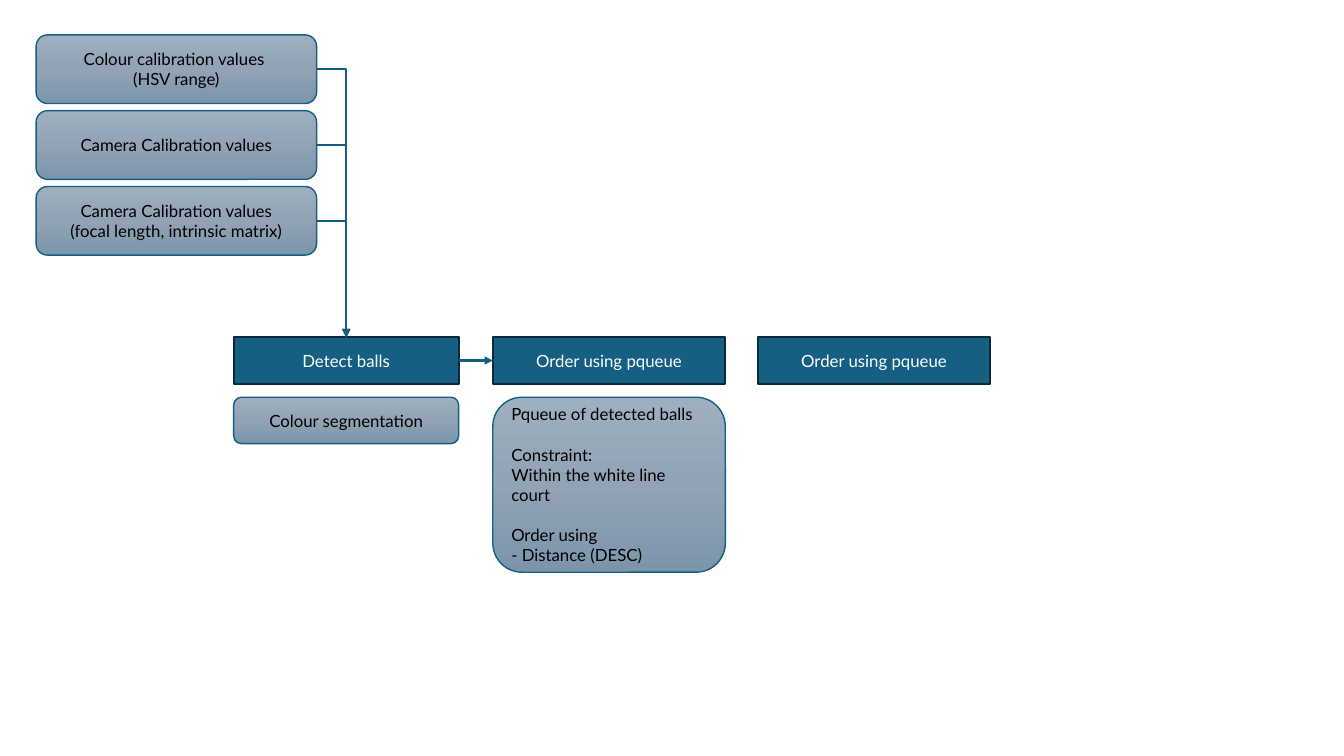
from copy import deepcopy
from pptx import Presentation
from pptx.dml.color import RGBColor
from pptx.enum.shapes import MSO_CONNECTOR, MSO_SHAPE
from pptx.enum.text import MSO_ANCHOR, PP_ALIGN
from pptx.oxml.ns import qn
from pptx.oxml.xmlchemy import OxmlElement
from pptx.util import Cm, Pt

RECT = MSO_SHAPE.RECTANGLE
ROUND = MSO_SHAPE.ROUNDED_RECTANGLE
ELBOW = MSO_CONNECTOR.ELBOW
STRAIGHT = MSO_CONNECTOR.STRAIGHT
MIDDLE = MSO_ANCHOR.MIDDLE
LEFT = PP_ALIGN.LEFT
CENTER = PP_ALIGN.CENTER
TOP_SIDE, LEFT_SIDE, RIGHT_SIDE = 0, 1, 3

FONT = "Lato"
COLORS = {
    "blue": "156082",
    "edge": "092A39",
    "light": "9EAFBF",
    "mid": "91A3B4",
    "dark": "7C95AB",
    "white": "FFFFFF",
    "black": "000000",
}
INPUTS = [
    ["Colour calibration values ", "(HSV range)"],
    ["Camera Calibration values"],
    ["Camera Calibration values", "(focal length, intrinsic matrix)"],
]
STEPS = [
    (5.89, 5.67, "Detect balls"),
    (12.42, 5.86, "Order using pqueue"),
    (19.1, 5.86, "Order using pqueue"),
]
RULES = [
    "Pqueue of detected balls",
    "Constraint:",
    "Within the white line court",
    "Order using",
    "- Distance (DESC)",
]
GROUPS = ("Constraint:", "Order using")


def color(name):
    return RGBColor.from_string(COLORS[name])


def add_box(slide, kind, box, lines, ink, align):
    shape = slide.shapes.add_shape(kind, *[Cm(n) for n in box])
    shape.shadow.inherit = False
    frame = shape.text_frame
    frame.word_wrap = True
    frame.vertical_anchor = MIDDLE
    frame.text = "\n".join(lines)
    for para in frame.paragraphs:
        para.alignment = align
        for run in para.runs:
            run.font.name = FONT
            run.font.size = Pt(12)
            run.font.color.rgb = color(ink)
    return shape


def add_step(slide, box, label):
    step = add_box(slide, RECT, box, [label], "white", CENTER)
    step.fill.solid()
    step.fill.fore_color.rgb = color("blue")
    step.line.color.rgb = color("edge")
    step.line.width = Pt(1.5)
    return step


def add_note(slide, box, lines, align=CENTER):
    note = add_box(slide, ROUND, box, lines, "black", align)
    note.fill.gradient()
    note.fill.gradient_angle = 270
    stops = note._element.spPr.find(".//" + qn("a:gsLst"))
    stops.insert(1, deepcopy(stops[0]))
    shades = ("light", "mid", "dark")
    for i, (stop, shade) in enumerate(zip(note.fill.gradient_stops, shades)):
        stop.position = i / 2
        stop.color.rgb = color(shade)
    note.line.color.rgb = color("blue")
    note.line.width = Pt(1)
    return note


def add_arrow(slide, kind, start, end, side):
    arrow = slide.shapes.add_connector(kind, 0, 0, 0, 0)
    arrow.begin_connect(start, RIGHT_SIDE)
    arrow.end_connect(end, side)
    arrow.line.color.rgb = color("blue")
    arrow.line.width = Pt(1.5)
    tail = OxmlElement("a:tailEnd")
    tail.set("type", "triangle")
    arrow.line._get_or_add_ln().append(tail)
    props = arrow._element.spPr
    props.append(OxmlElement("a:effectLst"))
    if kind == ELBOW:
        props.find(qn("a:prstGeom")).set("prst", "bentConnector2")


def add_inputs(slide, left, top, width, height, gap):
    return [
        add_note(slide, (left, top + i * (height + gap), width, height), lines)
        for i, lines in enumerate(INPUTS)
    ]


def add_steps(slide, top, height):
    return [
        add_step(slide, (left, top, width, height), label)
        for left, width, label in STEPS
    ]


def add_notes(slide, top):
    left, width, _ = STEPS[0]
    add_note(slide, (left, top, width, 1.17), ["Colour segmentation"])
    left, width, _ = STEPS[1]
    rules = add_note(slide, (left, top, width, 4.41), RULES, LEFT)
    for para in rules.text_frame.paragraphs:
        if para.text in GROUPS:
            para.space_before = Pt(14.4)


def main():
    deck = Presentation()
    deck.slide_width = Cm(33.87)
    deck.slide_height = Cm(19.05)
    slide = deck.slides.add_slide(deck.slide_layouts[6])
    inputs = add_inputs(slide, 0.91, 0.88, 7.07, 1.73, 0.18)
    detect, order, _ = add_steps(slide, 8.5, 1.17)
    add_notes(slide, 10.01)
    for item in inputs:
        add_arrow(slide, ELBOW, item, detect, TOP_SIDE)
    add_arrow(slide, STRAIGHT, detect, order, LEFT_SIDE)
    deck.save("out.pptx")


if __name__ == "__main__":
    main()
